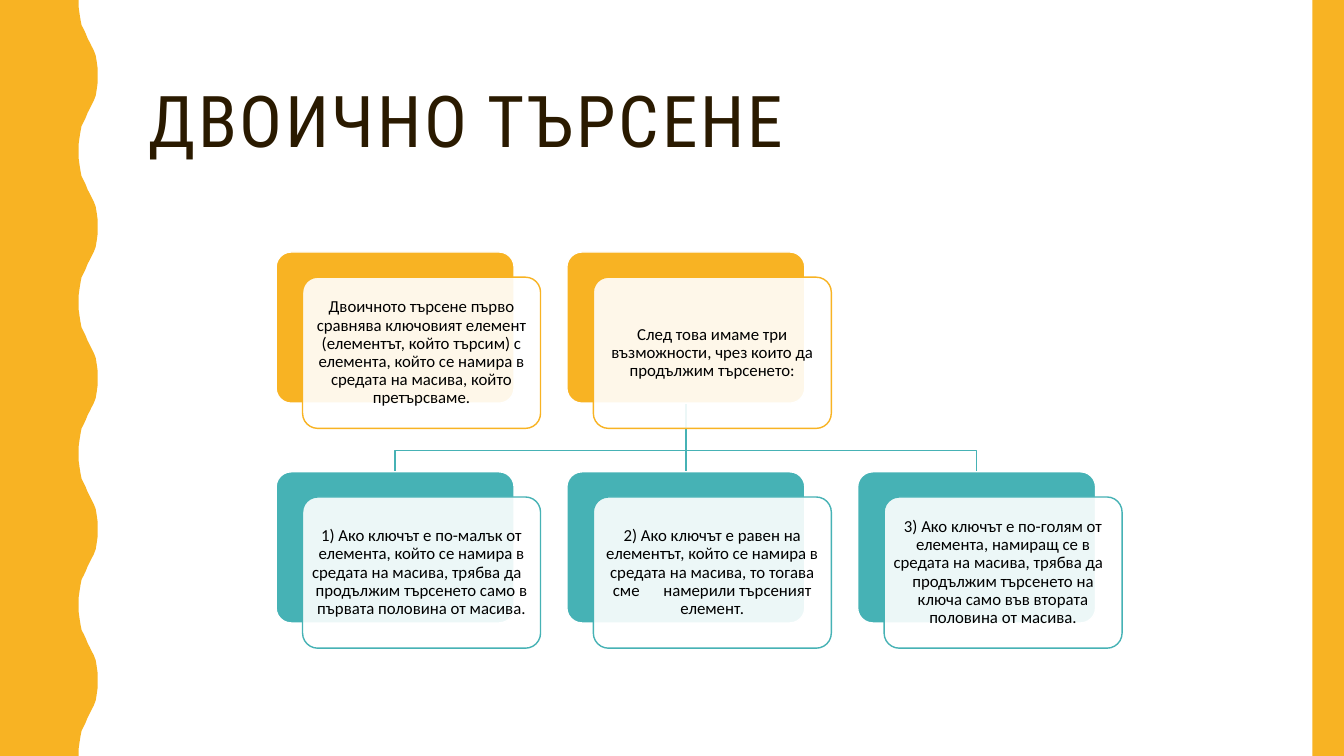
from lxml.etree import SubElement
from pptx import Presentation
from pptx.dml.color import RGBColor
from pptx.enum.shapes import MSO_SHAPE as Preset
from pptx.enum.text import MSO_ANCHOR as Anchor, PP_ALIGN as Align
from pptx.oxml.ns import qn
from pptx.util import Pt

AMBER = RGBColor(0xF8, 0xB3, 0x23)
TEAL = RGBColor(0x46, 0xB2, 0xB5)
BROWN = RGBColor(0x2A, 0x1A, 0x00)
WHITE = RGBColor(0xFF, 0xFF, 0xFF)
BLACK = RGBColor(0x00, 0x00, 0x00)

SLIDE_W, SLIDE_H = 960, 540
WAVE_PERIOD = 108
HALF_WAVE = [
    (56.2, 0), (56.2, 5), (56.9, 10), (57.6, 14.4), (58.3, 18),
    (59.8, 20.9), (61.2, 23.8), (62.6, 27.4), (64.1, 30.2), (65.5, 33.1),
    (67, 36), (68.4, 39.6), (69.1, 43.9), (69.8, 49), (69.8, 54),
]

CARD_W, CARD_H = 170, 108
CARD_LEFT, CARD_STEP = 197.2, 207.7
STEPS_TOP, CASES_TOP = 180, 337
FRONT_DX, FRONT_DY = 18.9, 18
BRANCH_Y = 321.8

STEPS = [
    "Двоичното търсене първо сравнява ключовият елемент (елементът, който търсим) "
    "с елемента, който се намира в средата на масива, който претърсваме.",
    "След това имаме три възможности, чрез които да продължим търсенето:",
]
CASES = [
    "1) Ако ключът е по-малък от елемента, който се намира в средата на масива, "
    "трябва да \tпродължим търсенето само в първата половина от масива.",
    "2) Ако ключът е равен на елементът, който се намира в средата на масива, "
    "то тогава сме \tнамерили търсеният елемент.",
    "3) Ако ключът е по-голям от елемента, намиращ се в средата на масива, "
    "трябва да \tпродължим търсенето на ключа само във втората половина от масива.",
]


class SlideBuilder:
    title_font = "Roboto Condensed"
    body_font = "Calibri"

    def __init__(self, slide):
        self.slide = slide
        self.shapes = slide.shapes

    def background(self, color):
        fill = self.slide.background.fill
        fill.solid()
        fill.fore_color.rgb = color

    def paint(self, shape, fill=None, line=None, opacity=100):
        shape.shadow.inherit = False
        if fill is None:
            shape.fill.background()
        else:
            shape.fill.solid()
            shape.fill.fore_color.rgb = fill
        if opacity < 100:
            color = shape.element.spPr.find(qn("a:solidFill"))[0]
            SubElement(color, qn("a:alpha"), val=str(opacity * 1000))
        if line is None:
            shape.line.fill.background()
        else:
            shape.line.color.rgb = line
            shape.line.width = Pt(1)

    def outline(self, points, closed, fill=None, line=None):
        start, *rest = [(Pt(x), Pt(y)) for x, y in points]
        builder = self.shapes.build_freeform(*start)
        builder.add_line_segments(rest, close=closed)
        self.paint(builder.convert_to_shape(), fill, line)

    def block(self, preset, left, top, width, height, **style):
        shape = self.shapes.add_shape(preset, Pt(left), Pt(top), Pt(width), Pt(height))
        self.paint(shape, **style)
        return shape

    def add_text(self, frame, text, font, size, color, align):
        frame.word_wrap = True
        frame.vertical_anchor = Anchor.MIDDLE
        paragraph = frame.paragraphs[0]
        paragraph.alignment = align
        paragraph.line_spacing = 0.9
        run = paragraph.add_run()
        run.text = text
        run.font.name = font
        run.font.size = Pt(size)
        run.font.color.rgb = color

    def title(self, text, left, top, width, height):
        heading = self.shapes.add_textbox(Pt(left), Pt(top), Pt(width), Pt(height))
        self.add_text(heading.text_frame, text, self.title_font, 51, BROWN, Align.LEFT)
        heading.element.find(".//" + qn("a:rPr")).set("spc", "200")

    def card(self, text, left, top, color):
        rounded = Preset.ROUNDED_RECTANGLE
        back = self.block(rounded, left, top, CARD_W, CARD_H, fill=color, line=WHITE)
        front = self.block(rounded, left + FRONT_DX, top + FRONT_DY, CARD_W, CARD_H,
                           fill=WHITE, line=color, opacity=90)
        for layer in (back, front):
            layer.adjustments[0] = 0.1
        frame = front.text_frame
        frame.margin_left = frame.margin_right = Pt(3.6)
        frame.margin_top = frame.margin_bottom = Pt(3.6)
        self.add_text(frame, text, self.body_font, 12, BLACK, Align.CENTER)


def wave_edge():
    mirrored = [(x, WAVE_PERIOD - y) for x, y in reversed(HALF_WAVE[1:-1])]
    period = HALF_WAVE + mirrored
    edge = [(x, y + top) for top in range(0, SLIDE_H, WAVE_PERIOD) for x, y in period]
    return edge + [(HALF_WAVE[0][0], SLIDE_H)]


def card_left(column):
    return CARD_LEFT + column * CARD_STEP


def card_center(column):
    return card_left(column) + CARD_W / 2


def main():
    deck = Presentation()
    deck.slide_width, deck.slide_height = Pt(SLIDE_W), Pt(SLIDE_H)
    page = SlideBuilder(deck.slides.add_slide(deck.slide_layouts[6]))

    page.background(WHITE)
    page.title("ДВОИЧНО ТЪРСЕНЕ", 98.8, 30, 801.2, 117.5)
    page.outline([(0, 0), *wave_edge(), (0, SLIDE_H)], True, fill=AMBER)
    page.block(Preset.RECTANGLE, 937.5, 0, 22.5, SLIDE_H, fill=AMBER)

    trunk = card_center(1)
    for column in (2, 1, 0):
        branch = card_center(column)
        route = [(trunk, STEPS_TOP + CARD_H), (trunk, BRANCH_Y),
                 (branch, BRANCH_Y), (branch, CASES_TOP)]
        page.outline(list(dict.fromkeys(route)), False, line=TEAL)

    for texts, top, color in ((STEPS, STEPS_TOP, AMBER), (CASES, CASES_TOP, TEAL)):
        for column, text in enumerate(texts):
            page.card(text, card_left(column), top, color)

    deck.save("out.pptx")


if __name__ == "__main__":
    main()
